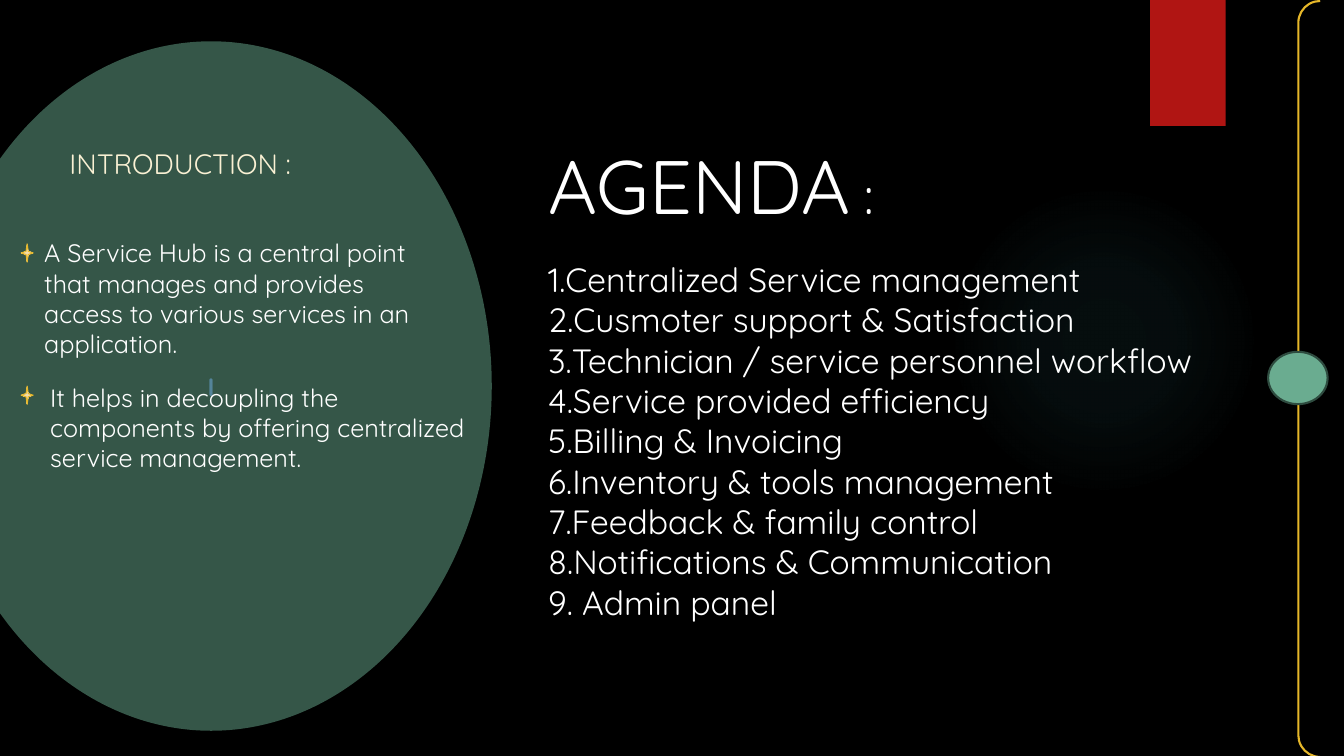
from lxml import etree
from pptx import Presentation
from pptx.dml.color import RGBColor
from pptx.enum.shapes import MSO_SHAPE
from pptx.enum.text import MSO_ANCHOR, MSO_AUTO_SIZE, PP_ALIGN
from pptx.oxml import parse_xml
from pptx.oxml.ns import nsdecls, qn
from pptx.util import Pt

OVAL, RECTANGLE = MSO_SHAPE.OVAL, MSO_SHAPE.RECTANGLE
BRACKETS, KNOB = MSO_SHAPE.DOUBLE_BRACKET, MSO_SHAPE.FLOWCHART_CONNECTOR
STAR = MSO_SHAPE.STAR_4_POINT
TOP, MIDDLE = MSO_ANCHOR.TOP, MSO_ANCHOR.MIDDLE
LEFT, CENTER = PP_ALIGN.LEFT, PP_ALIGN.CENTER
NO_AUTOFIT = MSO_AUTO_SIZE.NONE
FONT = "Quicksand"
COLORS = {
    "black": "000000", "white": "FFFFFF", "cream": "FAF1D4", "red": "B01513",
    "green": "6AAC90", "dark_green": "2E4B3F", "gold": "E6B729",
    "star_top": "FAF2E3", "star_bottom": "ECC977", "glow": "50B9C1", "blue": "54849A",
}
SERVICE_HUB = [
    "A Service Hub is a central point",
    "that manages and provides",
    "access to various services in an",
    "application.",
]
DECOUPLING = [
    "It helps in decoupling the",
    "components by offering centralized",
    "service management.",
]
AGENDA = [
    "1.Centralized Service management",
    "2.Cusmoter support & Satisfaction",
    "3.Technician / service personnel workflow",
    "4.Service provided efficiency",
    "5.Billing & Invoicing",
    "6.Inventory & tools management",
    "7.Feedback & family control",
    "8.Notifications & Communication",
    "9. Admin panel",
]


def rgb(name):
    return RGBColor.from_string(COLORS[name])


def add_figure(page, kind, place, fill=None, line=None, width=1.5):
    shape = page.shapes.add_shape(kind, *map(Pt, place))
    shape.shadow.inherit = False
    if fill:
        shape.fill.solid()
        shape.fill.fore_color.rgb = rgb(fill)
    else:
        shape.fill.background()
    if line:
        shape.line.color.rgb = rgb(line)
        shape.line.width = Pt(width)
    else:
        shape.line.fill.background()
    return shape


def set_opacity(shape, percent):
    color = shape.fill._xPr.find(qn("a:solidFill"))[0]
    etree.SubElement(color, qn("a:alpha")).set("val", str(percent * 1000))


def set_gradient(shape, stops, direction):
    stop_list = "".join(
        f'<a:gs pos="{position * 1000}"><a:srgbClr val="{COLORS[name]}">'
        f'<a:alpha val="{opacity * 1000}"/></a:srgbClr></a:gs>'
        for position, name, opacity in stops
    )
    gradient = parse_xml(
        f'<a:gradFill {nsdecls("a")} rotWithShape="1">'
        f"<a:gsLst>{stop_list}</a:gsLst>{direction}</a:gradFill>"
    )
    properties = shape.fill._xPr
    properties.replace(properties.find(qn("a:noFill")), gradient)


def add_span(para, text, size, color):
    span = para.add_run()
    span.text = text
    span.font.name = FONT
    span.font.size = Pt(size)
    span.font.color.rgb = rgb(color)
    return span


def add_text(page, place, lines, size, color="white"):
    box = page.shapes.add_textbox(*map(Pt, place))
    frame = box.text_frame
    frame.word_wrap = True
    for index, line in enumerate(lines):
        para = frame.paragraphs[0] if index == 0 else frame.add_paragraph()
        add_span(para, line, size, color)


def add_title(page, place, spans):
    title = page.shapes.title
    title.left, title.top, title.width, title.height = map(Pt, place)
    frame = title.text_frame
    frame.auto_size = NO_AUTOFIT
    frame.vertical_anchor = TOP
    para = frame.paragraphs[0]
    para.alignment = LEFT
    for text, size in spans:
        add_span(para, text, size, "white")


def add_glow(page):
    glow = add_figure(page, OVAL, (677.5, 131.8, 221.8, 221.8))
    center = '<a:path path="circle"><a:fillToRect l="50000" t="50000" r="50000" b="50000"/></a:path>'
    set_gradient(glow, [(0, "glow", 7), (36, "glow", 6), (69, "glow", 0)], center)


def add_star(page, top):
    star = add_figure(page, STAR, (15.1, top, 8.6, 13), line="gold", width=0.75)
    stops = [(0, "star_top", 100), (100, "star_bottom", 100)]
    set_gradient(star, stops, '<a:lin ang="5400000" scaled="0"/>')


def add_green_circle(page):
    circle = add_figure(page, OVAL, (-49.7, 29.5, 401, 492.5), fill="green")
    set_opacity(circle, 50)
    circle.text_frame.vertical_anchor = MIDDLE
    para = circle.text_frame.paragraphs[0]
    para.alignment = CENTER
    span = add_span(para, "I", 18, "blue")
    span.font.bold = True
    outline = parse_xml(
        f'<a:ln {nsdecls("a")} w="9525"><a:solidFill>'
        f'<a:srgbClr val="{COLORS["black"]}"/></a:solidFill></a:ln>'
    )
    span.font._element.insert(0, outline)


def main():
    deck = Presentation()
    deck.slide_width, deck.slide_height = Pt(960), Pt(540)
    page = deck.slides.add_slide(deck.slide_layouts[5])
    page.background.fill.solid()
    page.background.fill.fore_color.rgb = rgb("black")

    add_glow(page)
    add_figure(page, RECTANGLE, (821.5, 0, 54, 90), fill="red")
    add_green_circle(page)
    add_figure(page, BRACKETS, (927.4, 0.7, 93.6, 540), line="gold")
    add_figure(page, KNOB, (905.8, 251.3, 42.5, 37.4), fill="green", line="dark_green")

    add_text(page, (42.5, 100.8, 234.7, 31.7), ["INTRODUCTION :"], 20, "cream")
    add_text(page, (24.5, 166.3, 294.5, 94.3), SERVICE_HUB, 18)
    add_text(page, (28.8, 269.3, 328.3, 94.3), DECOUPLING, 18)
    for top in (174.2, 275.8):
        add_star(page, top)

    add_title(page, (384.5, 95.8, 273.6, 72.7), [("AGENDA", 54), (" :", 36)])
    add_text(page, (384.5, 181.4, 488.2, 298), AGENDA, 24)
    deck.save("out.pptx")


if __name__ == "__main__":
    main()
